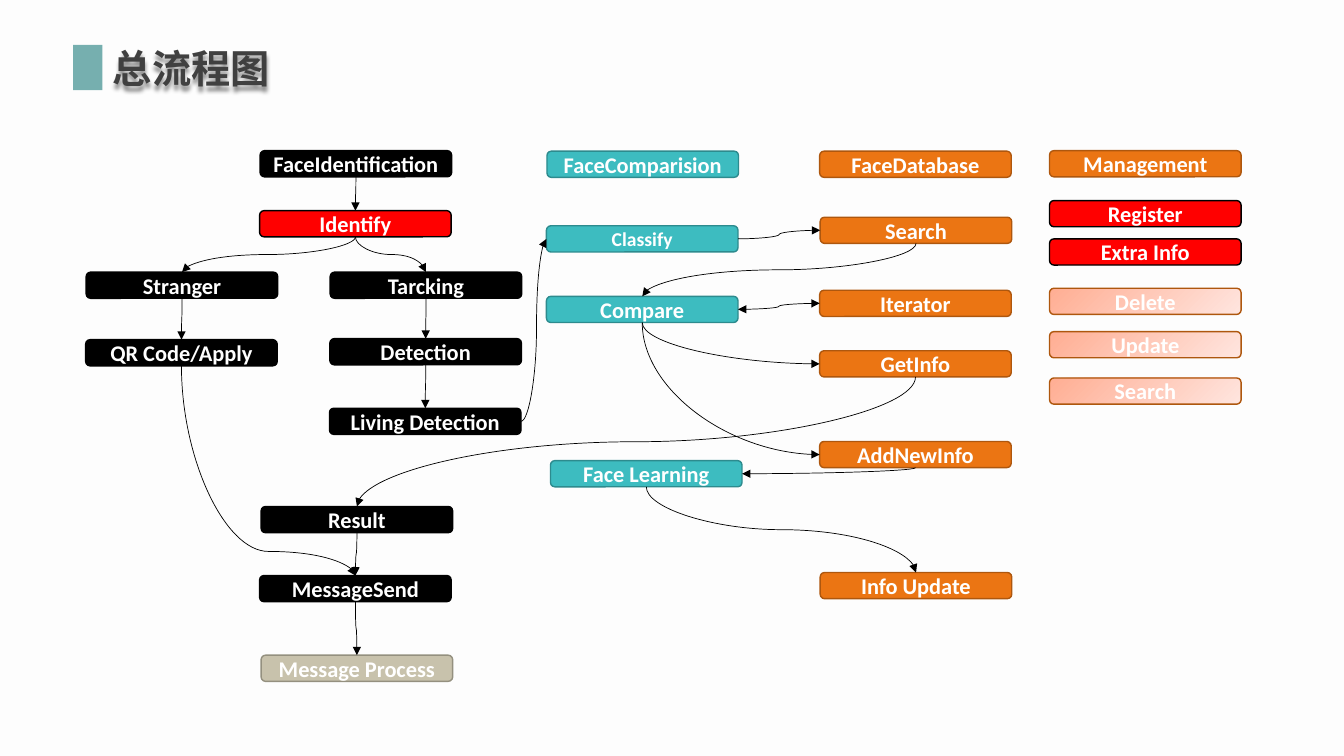
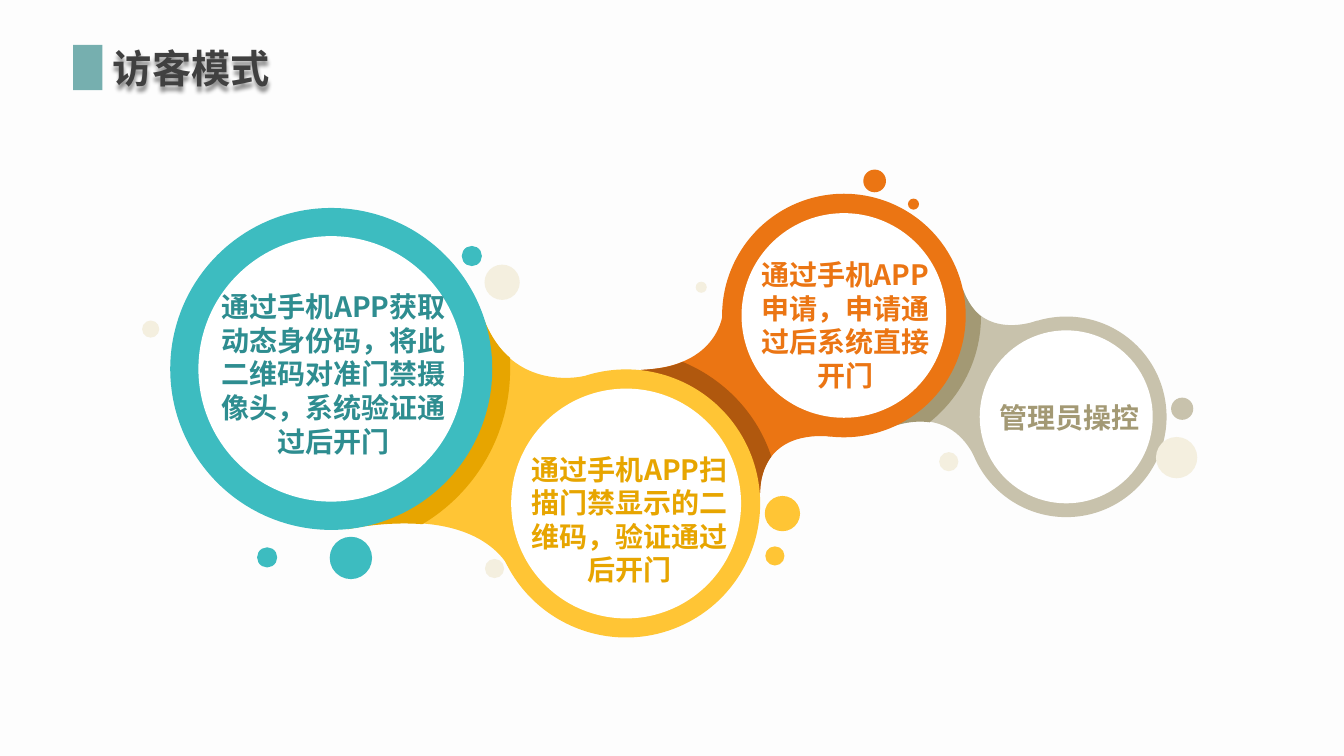
from dataclasses import dataclass

from lxml.etree import SubElement
from pptx import Presentation
from pptx.dml.color import RGBColor
from pptx.enum.shapes import MSO_CONNECTOR as Connector, MSO_SHAPE as Preset
from pptx.enum.text import MSO_ANCHOR as Anchor, MSO_AUTO_SIZE as AutoSize, PP_ALIGN as Align
from pptx.oxml.ns import qn
from pptx.util import Inches, Pt

COLORS = {
    "background": "FDFDFD", "title": "404040", "marker": "76AFAF",
    "black": "000000", "white": "FFFFFF", "red": "FF0000", "cream": "F4EFDF",
    "teal": "3DBCC0", "teal line": "2D8B8E", "teal text": "2E8D90",
    "orange": "EB7513", "orange line": "AE570E", "orange shade": "B0580E",
    "yellow": "FFC535", "yellow shade": "E7A500",
    "gray": "C8C2AC", "gray line": "94907F", "gray shade": "A39974",
    "pink start": "FFAE93", "pink end": "FFE5DF",
}
LATIN_FONT, CHINESE_FONT = "Calibri", "Noto Sans CJK SC"
TOP, LEFT, BOTTOM, RIGHT = range(4)


@dataclass
class Grid:
    """A region of the slide, in inches, divided into columns and rows."""
    left: float
    top: float
    width: float
    height: float
    columns: int
    rows: int

    def point(self, x, y):
        return (Inches(self.left + x * self.width / self.columns),
                Inches(self.top + y * self.height / self.rows))

    def area(self, x, y, width, height):
        return (*self.point(x, y), Inches(width * self.width / self.columns),
                Inches(height * self.height / self.rows))


HEADER = Grid(0.72, 0.39, 2.1, 0.6, 210, 60)
FLOW = Grid(0.85, 1.5, 11.5, 5.3, 115, 53)
CHAIN = Grid(1, 1.5, 11, 5, 110, 50)

# Flow chart: name, label, column, row, style
NODE_WIDTH, NODE_HEIGHT = 19, 2.6
NODE_STYLES = {  # fill and line; a pair of fills is a gradient
    "black": ("black", "black"), "red": ("red", "black"),
    "teal": ("teal", "teal line"), "orange": ("orange", "orange line"),
    "gray": ("gray", "gray line"),
    "pink": (("pink start", "pink end"), "orange line"),
}
NODES = [
    ("identification", "FaceIdentification", 17.3, -0.05, "black"),
    ("identify", "Identify", 17.25, 5.9, "red"),
    ("stranger", "Stranger", 0.05, 12, "black"),
    ("apply", "QR Code/Apply", 0, 18.7, "black"),
    ("tracking", "Tarcking", 24.25, 12, "black"),
    ("detection", "Detection", 24.22, 18.6, "black"),
    ("living", "Living Detection", 24.18, 25.5, "black"),
    ("result", "Result", 17.4, 35.25, "black"),
    ("send", "MessageSend", 17.25, 42.1, "black"),
    ("process", "Message Process", 17.4, 50, "gray"),
    ("comparison", "FaceComparision", 45.75, 0, "teal"),
    ("classify", "Classify", 45.7, 7.4, "teal"),
    ("compare", "Compare", 45.7, 14.4, "teal"),
    ("learning", "Face Learning", 46.1, 30.7, "teal"),
    ("database", "FaceDatabase", 72.8, 0, "orange"),
    ("search", "Search", 72.85, 6.55, "orange"),
    ("iterator", "Iterator", 72.8, 13.8, "orange"),
    ("get info", "GetInfo", 72.8, 19.8, "orange"),
    ("add info", "AddNewInfo", 72.8, 28.8, "orange"),
    ("info update", "Info Update", 72.85, 41.8, "orange"),
    ("management", "Management", 95.6, -0.05, "orange"),
    ("register", "Register", 95.6, 4.9, "red"),
    ("extra info", "Extra Info", 95.6, 8.7, "red"),
    ("delete", "Delete", 95.6, 13.6, "pink"),
    ("update", "Update", 95.6, 17.9, "pink"),
    ("find", "Search", 95.6, 22.5, "pink"),
]
# Links: from, its side, to, its side, further settings
LINKS = [
    ("identification", BOTTOM, "identify", TOP, {}),
    ("identify", BOTTOM, "stranger", TOP, {}),
    ("identify", BOTTOM, "tracking", TOP, {}),
    ("stranger", BOTTOM, "apply", TOP, {}),
    ("apply", BOTTOM, "send", TOP, {"bend": 0.885}),
    ("tracking", BOTTOM, "detection", TOP, {}),
    ("detection", BOTTOM, "living", TOP, {}),
    ("living", RIGHT, "classify", LEFT, {"bend": 0.608}),
    ("classify", RIGHT, "search", LEFT, {}),
    ("search", BOTTOM, "compare", TOP, {}),
    ("compare", RIGHT, "iterator", LEFT, {"both_ends": True}),
    ("compare", BOTTOM, "get info", LEFT, {}),
    ("compare", BOTTOM, "add info", LEFT, {}),
    ("get info", BOTTOM, "result", TOP, {}),
    ("add info", BOTTOM, "learning", RIGHT, {}),
    ("learning", BOTTOM, "info update", TOP, {}),
    ("result", BOTTOM, "send", TOP, {}),
    ("send", BOTTOM, "process", TOP, {}),
]

# Ring chain, back to front. In outlines a pair is a corner, six numbers a curve.
RINGS = [
    dict(color="gray", center=(95.75, 26.35), radii=(9.95, 8.58),
         neck=[(92.9, 16.8), (92.9, 16.8, 87.3, 19, 85.5, 13.7), (78.3, 27.4),
               (78.3, 27.4, 83.8, 24.8, 86.6, 30.2)],
         shade=[(85.5, 13.7), (78.3, 27.4), (78.3, 27.4, 80.2, 26.6, 82.2, 26.9),
                (85.3, 24.4, 87.3, 20.6, 87.3, 16.4), (86.6, 15.8, 86, 15, 85.5, 13.7)],
         label="管理员操控", text_color="gray shade", text_area=(86.5, 24.2, 19.1, 4.4)),
    dict(color="orange", center=(73.7, 16.3), radii=(12.08, 10.15),
         neck=[(61.7, 16), (61.7, 16, 61.4, 21.4, 53.6, 21.7), (61.7, 31.4), (65.4, 33.9),
               (65.4, 33.9, 65, 27.7, 72.4, 28.3)],
         shade=[(57.7, 20.9), (56.6, 21.4, 55.3, 21.6, 53.6, 21.7), (61.7, 31.4),
                (65.4, 33.9), (65.4, 33.9, 65.3, 31.9, 66.5, 30.3),
                (65.1, 26, 61.8, 22.6, 57.7, 20.9)],
         label="通过手机APP申请，申请通过后系统直接开门",
         text_color="orange", text_area=(63.35, 10.05, 21, 14.5)),
    dict(color="yellow", center=(52.1, 34.95), radii=(13.3, 11.4),
         neck=[(48, 22.3), (48, 22.3, 40.8, 24.1, 38, 16.7), (24.5, 37.5),
               (24.5, 37.5, 37.2, 34.4, 40.9, 42)],
         shade=[(38, 16.7), (24.5, 37.5), (24.5, 37.5, 28, 36.7, 31.9, 37),
                (37.1, 33.9, 40.6, 28.2, 40.6, 21.6), (40.6, 21.2, 40.6, 20.9, 40.6, 20.5),
                (39.6, 19.7, 38.7, 18.4, 38, 16.7)],
         label="通过手机APP扫描门禁显示的二维码，验证通过后开门",
         text_color="yellow shade", text_area=(41.25, 29.35, 22.4, 14.5)),
    dict(color="teal", center=(22.85, 21.6), radii=(15.97, 13.17), neck=None, shade=None,
         label="通过手机APP获取动态身份码，将此二维码对准门禁摄像头，系统验证通过后开门",
         text_color="teal text", text_area=(10.55, 13.25, 25.1, 17.8)),
]
DOTS = {  # center x, center y, diameter
    "teal": [(24.8, 40.35, 4.2), (16.5, 40.3, 2), (36.8, 10.4, 2)],
    "yellow": [(67.6, 35.95, 3.5), (66.85, 40.15, 1.9)],
    "orange": [(76.75, 2.95, 2.25), (80.6, 5.25, 1.1)],
    "gray": [(107.25, 25.55, 2.2)],
    "cream": [(4.95, 17.65, 1.7), (39.8, 13, 3.5), (39.05, 41.4, 1.9),
              (59.55, 13.5, 1.1), (106.7, 30.4, 4.1), (84.1, 30.8, 1.9)],
}


def rgb(name):
    return RGBColor.from_string(COLORS[name])


def write(shape, text, *, size, color, font, align=Align.CENTER, anchor=Anchor.TOP, wrap=True):
    frame = shape.text_frame
    frame.auto_size = AutoSize.NONE
    frame.word_wrap = wrap
    frame.vertical_anchor = anchor
    paragraph = frame.paragraphs[0]
    paragraph.alignment = align
    run = paragraph.add_run()
    run.text = text
    run.font.size = Pt(size)
    run.font.bold = True
    run.font.color.rgb = rgb(color)
    run.font.name = font
    SubElement(run.font._element, qn("a:ea"), typeface=font)


def paint(shape, fill, line=None):
    shape.shadow.inherit = False
    if isinstance(fill, tuple):
        shape.fill.gradient()
        shape.fill.gradient_angle = 315
        for stop, name in zip(shape.fill.gradient_stops, fill):
            stop.color.rgb = rgb(name)
    else:
        shape.fill.solid()
        shape.fill.fore_color.rgb = rgb(fill)
    if line:
        shape.line.color.rgb = rgb(line)
        shape.line.width = Pt(1)
    else:
        shape.line.fill.background()
    return shape


def add_disc(slide, grid, x, y, radius, color):
    area = grid.area(x - radius, y - radius, 2 * radius, 2 * radius)
    paint(slide.shapes.add_shape(Preset.OVAL, *area), color)


def add_outline(slide, grid, outline, color):
    corners = [grid.point(*part[-2:]) for part in outline]
    builder = slide.shapes.build_freeform(*corners[0], scale=1.0)
    builder.add_line_segments(corners[1:], close=True)
    shape = paint(builder.convert_to_shape(), color)
    # Turn the straight pieces into curves where the outline asks for them
    pieces = list(shape.element.iter(qn("a:lnTo")))
    for part, piece in zip(outline[1:], pieces):
        if len(part) == 6:
            curve = SubElement(piece.getparent(), qn("a:cubicBezTo"))
            for index in (0, 2, 4):
                x, y = grid.point(*part[index:index + 2])
                SubElement(curve, qn("a:pt"), x=str(x - shape.left), y=str(y - shape.top))
            piece.getparent().replace(piece, curve)


def add_link(slide, start, start_side, end, end_side, bend=None, both_ends=False):
    connector = slide.shapes.add_connector(Connector.CURVE, 0, 0, 0, 0)
    connector.begin_connect(start, start_side)
    connector.end_connect(end, end_side)
    properties = connector.element.spPr
    # A curve that leaves downwards is a turned sideways curve
    if start_side == BOTTOM:
        across = connector.end_x - connector.begin_x
        down = connector.end_y - connector.begin_y
        middle_x = (connector.begin_x + connector.end_x) // 2
        middle_y = (connector.begin_y + connector.end_y) // 2
        connector.width, connector.height = abs(down), abs(across)
        connector.left = middle_x - abs(down) // 2
        connector.top = middle_y - abs(across) // 2
        frame = properties.find(qn("a:xfrm"))
        frame.set("rot", str((270 if across > 0 else 90) * 60000))
        frame.set("flipH", "1" if across > 0 else "0")
        frame.set("flipV", "0")
    geometry = properties.find(qn("a:prstGeom"))
    if start_side == BOTTOM and end_side != TOP:
        geometry.set("prst", "curvedConnector2")
    if bend:
        guides = geometry.find(qn("a:avLst"))
        SubElement(guides, qn("a:gd"), name="adj1", fmla=f"val {round(bend * 100000)}")
    # Line, arrowheads, no shadow
    connector.line.color.rgb = rgb("black")
    connector.line.width = Pt(0.5)
    line = properties.find(qn("a:ln"))
    for tag in (["a:headEnd"] if both_ends else []) + ["a:tailEnd"]:
        SubElement(line, qn(tag), type="triangle")
    SubElement(properties, qn("a:effectLst"))


def add_header(slide, grid, text):
    marker = slide.shapes.add_shape(Preset.RECTANGLE, *grid.area(0.5, 5.5, 29, 45))
    paint(marker, "marker")
    title = slide.shapes.title
    title.left, title.top, title.width, title.height = grid.area(30, 0, 178, 57)
    write(title, text, size=28, color="title", font=CHINESE_FONT, align=Align.LEFT, wrap=False)
    # Soft shadow under the title
    effects = SubElement(title.element.spPr, qn("a:effectLst"))
    shadow = SubElement(effects, qn("a:outerShdw"), blurRad="38100", dist="38100",
                        dir="5400000", algn="t")
    tint = SubElement(shadow, qn("a:srgbClr"), val=COLORS["black"])
    SubElement(tint, qn("a:alpha"), val="43000")


def add_flow_chart(slide, grid):
    nodes = {}
    for name, label, x, y, style in NODES:
        area = grid.area(x, y, NODE_WIDTH, NODE_HEIGHT)
        node = slide.shapes.add_shape(Preset.ROUNDED_RECTANGLE, *area)
        nodes[name] = paint(node, *NODE_STYLES[style])
        write(node, label, size=14 if name == "classify" else 16, color="white",
              font=LATIN_FONT, anchor=Anchor.MIDDLE)
    for start, start_side, end, end_side, settings in LINKS:
        add_link(slide, nodes[start], start_side, nodes[end], end_side, **settings)


def add_ring_chain(slide, grid):
    for ring in RINGS:
        outer, inner = ring["radii"]
        add_disc(slide, grid, *ring["center"], outer, ring["color"])
        if ring["neck"]:
            add_outline(slide, grid, ring["neck"], ring["color"])
        add_disc(slide, grid, *ring["center"], inner, "white")
        if ring["shade"]:
            add_outline(slide, grid, ring["shade"], f"{ring['color']} shade")
    for ring in RINGS:
        label = slide.shapes.add_textbox(*grid.area(*ring["text_area"]))
        write(label, ring["label"], size=20, color=ring["text_color"], font=CHINESE_FONT)
    for color, dots in DOTS.items():
        for x, y, diameter in dots:
            add_disc(slide, grid, x, y, diameter / 2, color)


def main():
    presentation = Presentation()
    presentation.slide_width, presentation.slide_height = Inches(13.33), Inches(7.5)
    background = presentation.slide_master.background.fill
    background.solid()
    background.fore_color.rgb = rgb("background")
    title_only = presentation.slide_layouts[5]
    for title, add_content, grid in (("总流程图", add_flow_chart, FLOW),
                                     ("访客模式", add_ring_chain, CHAIN)):
        slide = presentation.slides.add_slide(title_only)
        add_header(slide, HEADER, title)
        add_content(slide, grid)
    presentation.save("out.pptx")


if __name__ == "__main__":
    main()
